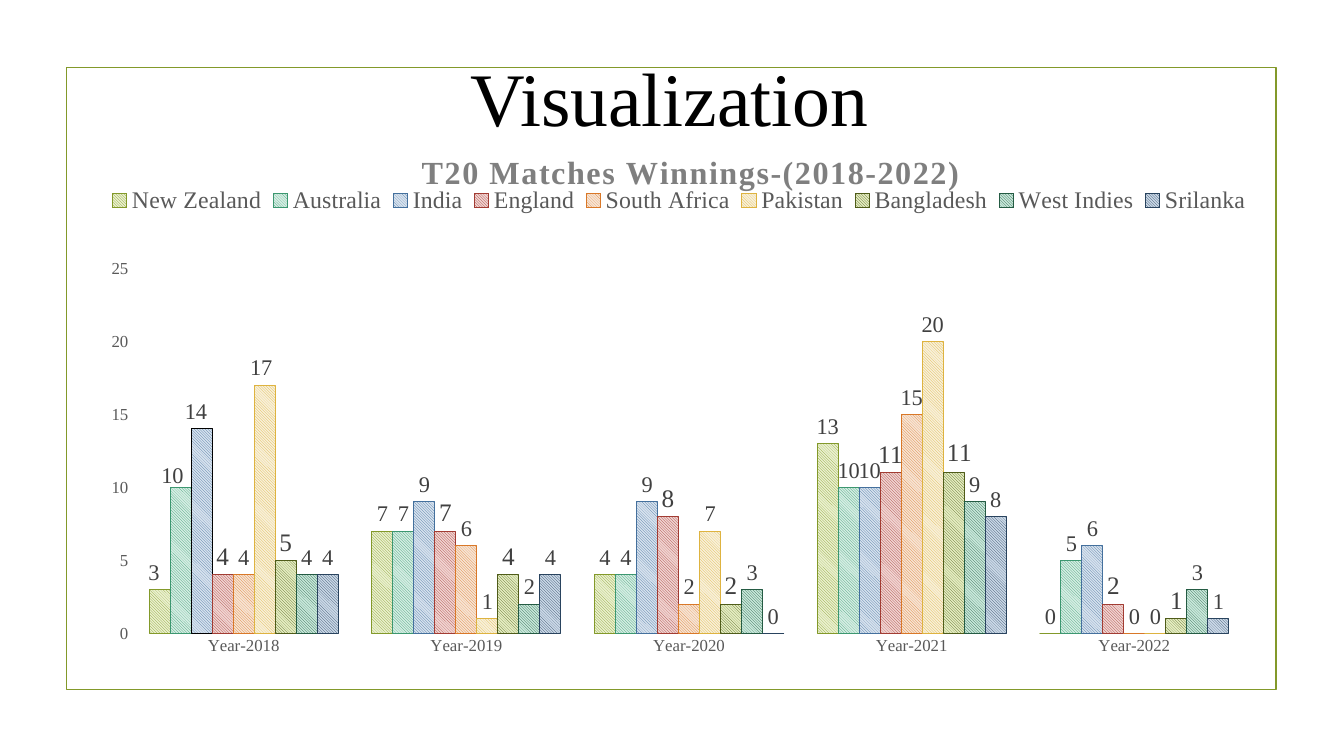
from lxml import etree
from pptx import Presentation
from pptx.chart.data import CategoryChartData
from pptx.dml.color import RGBColor
from pptx.enum.chart import XL_CHART_TYPE, XL_LABEL_POSITION, XL_LEGEND_POSITION, XL_TICK_MARK
from pptx.enum.dml import MSO_PATTERN
from pptx.enum.shapes import MSO_SHAPE
from pptx.enum.text import MSO_ANCHOR, PP_ALIGN
from pptx.oxml.ns import qn
from pptx.util import Inches, Pt

HATCH = MSO_PATTERN.LIGHT_DOWNWARD_DIAGONAL
OUTSIDE = XL_LABEL_POSITION.OUTSIDE_END
FONT = "Times New Roman"
COLORS = {"frame": "83992A", "black": "000000", "heading": "7F7F7F",
          "axis": "595959", "label": "404040"}

YEARS = [f"Year-{year}" for year in range(2018, 2023)]
# Team, wins per year, line colour, hatch background, label size
TEAMS = [
    ("New Zealand", (3, 7, 4, 13, 0), "83992A", "EAF1CE", 16),
    ("Australia", (10, 7, 4, 10, 5), "3C9770", "D4EEE3", 16),
    ("India", (14, 9, 9, 10, 6), "44709D", "D7E2EE", 16),
    ("England", (4, 7, 8, 11, 2), "A23C33", "F1D4D2", 18),
    ("South Africa", (4, 6, 2, 15, 0), "D97828", "F7E4D4", 16),
    ("Pakistan", (17, 1, 7, 20, 0), "DEB340", "F8F0D9", 16),
    ("Bangladesh", (5, 4, 2, 11, 1), "4F5C19", "E5EEC1", 18),
    ("West Indies", (4, 2, 3, 9, 3), "245B43", "C8E9DB", 16),
    ("Srilanka", (4, 4, 0, 8, 1), "29435E", "CBD9E8", 16),
]
# Team: year index and label shift as a fraction of the chart
SHIFTED_LABELS = {
    "New Zealand": (0, -0.005, 0), "Australia": (0, -0.007, 0.01),
    "India": (0, -0.005, 0), "Pakistan": (0, -0.003, 0),
    "Bangladesh": (3, 0.005, -0.004),
}


def style_font(font, size, color):
    font.name = FONT
    font.size = Pt(size)
    font.color.rgb = RGBColor.from_string(color)


def place(parent, index, **settings):
    """Give a chart part a manual layout, as fractions of the chart."""
    for old in parent.findall(qn("c:layout")):
        parent.remove(old)
    layout = etree.Element(qn("c:layout"))
    manual = etree.SubElement(layout, qn("c:manualLayout"))
    for tag, value in settings.items():
        etree.SubElement(manual, qn(f"c:{tag}")).set("val", str(value))
    parent.insert(index, layout)


prs = Presentation()
prs.slide_width, prs.slide_height = Inches(13.33), Inches(7.5)
slide = prs.slides.add_slide(prs.slide_layouts[5])

# Frame
frame = slide.shapes.add_shape(
    MSO_SHAPE.RECTANGLE, Inches(0.66), Inches(0.67), Inches(12), Inches(6.17))
frame.shadow.inherit = False
frame.fill.background()
frame.line.color.rgb = RGBColor.from_string(COLORS["frame"])
frame.line.width = Pt(1.25)

# Slide title
title = slide.shapes.title
title.left, title.top = Inches(4.26), Inches(0.45)
title.width, title.height = Inches(4.76), Inches(1.01)
title.text_frame.text = "Visualization"
title.text_frame.word_wrap = False
title.text_frame.vertical_anchor = MSO_ANCHOR.MIDDLE
title_line = title.text_frame.paragraphs[0]
title_line.alignment = PP_ALIGN.CENTER
style_font(title_line.runs[0].font, 54, COLORS["black"])

# Chart
wins = CategoryChartData()
wins.categories = YEARS
for team, values, *_ in TEAMS:
    wins.add_series(team, values)
chart = slide.shapes.add_chart(
    XL_CHART_TYPE.COLUMN_CLUSTERED, Inches(0.88), Inches(1.36),
    Inches(11.71), Inches(5.25), wins).chart
style_font(chart.font, 10, COLORS["black"])

# Chart heading
chart.has_title = True
heading = chart.chart_title.text_frame
heading.text = "T20 Matches Winnings-(2018-2022)"
heading_run = heading.paragraphs[0].runs[0]
style_font(heading_run.font, 23, COLORS["heading"])
heading_run.font.bold = True
heading_run.font._element.set("spc", "100")
place(chart.chart_title._element, 1, xMode="edge", yMode="edge", x=0.277, y=0.015)
chart.chart_title.include_in_layout = False

# Legend
chart.has_legend = True
legend = chart.legend
legend.position = XL_LEGEND_POSITION.TOP
legend.include_in_layout = False
style_font(legend.font, 17, COLORS["axis"])
place(legend._element, 1, xMode="edge", yMode="edge", x=0.01, y=0.09, w=0.98, h=0.06)

# Axes and plot
for axis in (chart.category_axis, chart.value_axis):
    axis.has_major_gridlines = False
    axis.major_tick_mark = axis.minor_tick_mark = XL_TICK_MARK.NONE
    axis.format.line.fill.background()
    style_font(axis.tick_labels.font, 12, COLORS["axis"])
chart.value_axis.minimum_scale = 0
chart.value_axis.maximum_scale = 25
chart.value_axis.major_unit = 5
plot = chart.plots[0]
plot.vary_by_categories = False
plot.gap_width = 160
plot.overlap = 0
plot_area = chart._chartSpace.find(f".//{qn('c:plotArea')}")
place(plot_area, 0, layoutTarget="inner", xMode="edge", yMode="edge",
      x=0.037, y=0.248, w=0.943, h=0.69)

# Series with hatching and value labels
for series, (team, _, color, pale, label_size) in zip(plot.series, TEAMS):
    bars = [(series.format, color)]
    if team == "India":
        bars.append((series.points[0].format, COLORS["black"]))
    for bar, outline in bars:
        bar.fill.patterned()
        bar.fill.pattern = HATCH
        bar.fill.fore_color.rgb = RGBColor.from_string(color)
        bar.fill.back_color.rgb = RGBColor.from_string(pale)
        bar.line.color.rgb = RGBColor.from_string(outline)
        bar.line.width = Pt(0.75)
    series.invert_if_negative = False
    labels = series.data_labels
    labels.show_value = True
    labels.position = OUTSIDE
    style_font(labels.font, label_size, COLORS["label"])
    if team in SHIFTED_LABELS:
        year, dx, dy = SHIFTED_LABELS[team]
        label = series.points[year].data_label
        label.position = OUTSIDE
        style_font(label.font, label_size, COLORS["label"])
        place(series._element.find(f".//{qn('c:dLbl')}"), 1, x=dx, y=dy)

prs.save("out.pptx")
